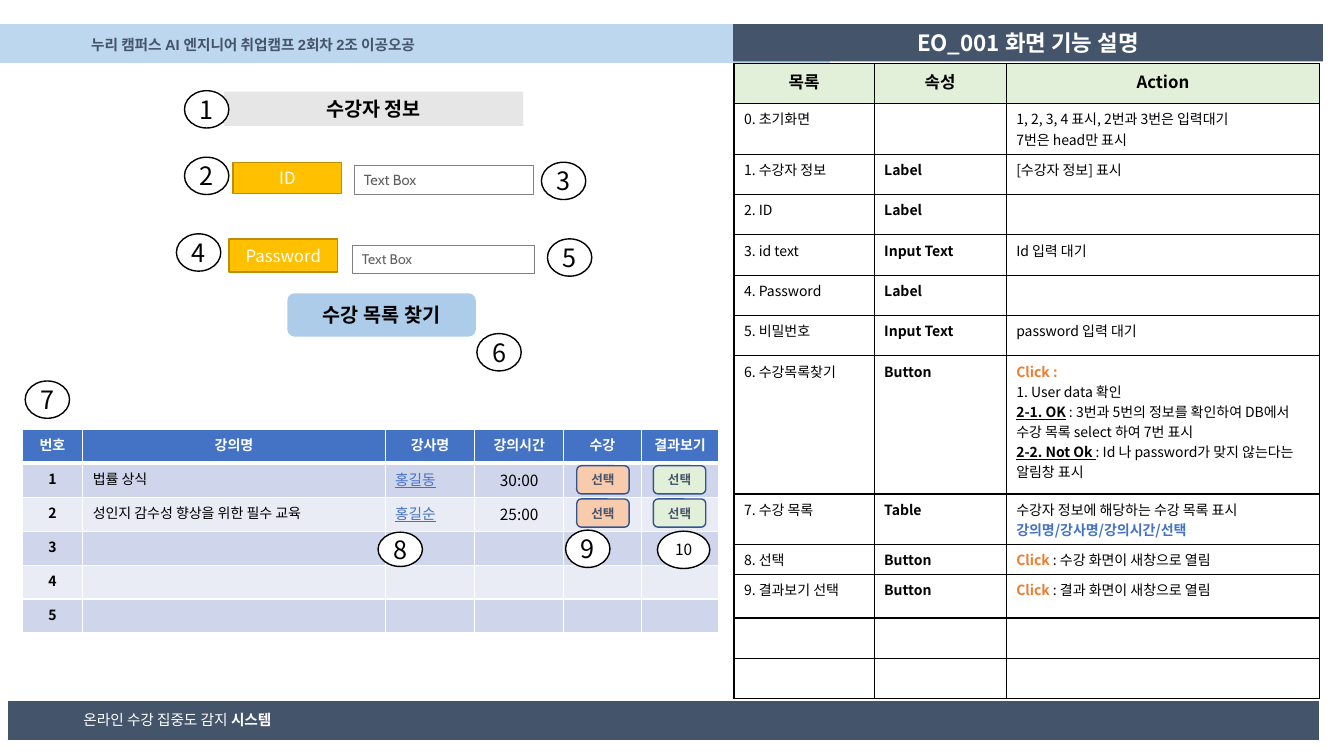
from dataclasses import dataclass

import pptx
import pptx.dml.color
import pptx.enum.shapes
import pptx.enum.text
import pptx.oxml
import pptx.oxml.ns
import pptx.util
from lxml import etree
from pptx.util import Inches

SHAPE = pptx.enum.shapes.MSO_SHAPE
ALIGN = pptx.enum.text.PP_ALIGN
qn = pptx.oxml.ns.qn


@dataclass(frozen=True)
class Theme:
    body: str = "Noto Sans CJK KR"
    bar_font: str = "Arial"
    input_font: str = "Cabin"
    black: str = "000000"
    white: str = "FFFFFF"
    navy: str = "44546A"
    sky: str = "BDD7EE"
    grey: str = "E7E6E6"
    amber: str = "FFC000"
    amber_edge: str = "BD8E00"
    search: str = "5B9BD5"
    blue: str = "4472C4"
    odd_row: str = "CFD5EA"
    even_row: str = "E9EBF5"
    mint: str = "E2F0D9"
    peach: str = "F8CBAD"
    button_edge: str = "325491"
    orange: str = "ED7D31"
    input_text: str = "5F5F5F"
    input_edge: str = "808080"
    title: float = 16
    heading: float = 14
    badge: float = 18
    label: float = 12
    time: float = 11
    bar: float = 10.5
    cell: float = 10
    button: float = 9


T = Theme()
BOLD = {"bold": True}
CLICK = {"bold": True, "color": T.orange}
KEY = {"bold": True, "underline": True}


def rgb(value):
    return pptx.dml.color.RGBColor.from_string(value)


def write(frame, paragraphs, align=ALIGN.LEFT, **base):
    """Fill a frame; each paragraph is a string or a list of (text, format) runs."""
    for index, runs in enumerate(paragraphs):
        paragraph = frame.paragraphs[0] if index == 0 else frame.add_paragraph()
        paragraph.alignment = align
        for text, extra in [(runs, {})] if isinstance(runs, str) else runs:
            style = {"name": T.body, "color": T.black, "bold": False} | base | extra
            run = paragraph.add_run()
            run.text = text
            run.font.color.rgb = rgb(style.pop("color"))
            run.font.size = pptx.util.Pt(style.pop("size"))
            for attribute, value in style.items():
                setattr(run.font, attribute, value)
            etree.SubElement(run._r.get_or_add_rPr(), qn("a:ea"), typeface=T.body)


def set_frame(frame, inset=0):
    values = {"word_wrap": True, "auto_size": pptx.enum.text.MSO_AUTO_SIZE.NONE,
              "vertical_anchor": pptx.enum.text.MSO_ANCHOR.MIDDLE,
              "margin_left": Inches(inset), "margin_right": Inches(inset),
              "margin_top": 0, "margin_bottom": 0}
    for attribute, value in values.items():
        setattr(frame, attribute, value)


def add_box(slide, at, fill, edge=None, weight=1, kind=SHAPE.RECTANGLE,
            text=None, inset=0, align=ALIGN.CENTER, **font):
    box = slide.shapes.add_shape(kind, *map(Inches, at))
    box.shadow.inherit = False
    box.fill.solid()
    box.fill.fore_color.rgb = rgb(fill)
    if edge:
        box.line.color.rgb = rgb(edge)
        box.line.width = pptx.util.Pt(weight)
    else:
        box.line.fill.background()
    if text:
        set_frame(box.text_frame, inset)
        write(box.text_frame, [text], align, **font)
    return box


def add_label(slide, at, text, **font):
    label = slide.shapes.add_textbox(*map(Inches, at))
    set_frame(label.text_frame)
    write(label.text_frame, [text], ALIGN.CENTER, **font)


def add_title(slide, at, text):
    title = slide.shapes.title
    title.left, title.top, title.width, title.height = map(Inches, at)
    title.fill.solid()
    title.fill.fore_color.rgb = rgb(T.navy)
    set_frame(title.text_frame)
    write(title.text_frame, [text], ALIGN.CENTER, size=T.title, color=T.white, bold=True)
    title.element.getparent().append(title.element)  # in front of the sky band


def add_badge(slide, number, left, top, width=0.44, height=0.37, size=T.badge):
    add_box(slide, (left, top, width, height), T.white, T.black, kind=SHAPE.OVAL,
            text=str(number), size=size)


def set_borders(cell, color, bottom=1):
    properties = cell._tc.get_or_add_tcPr()
    weights = {"a:lnL": 1, "a:lnR": 1, "a:lnT": 1, "a:lnB": bottom}
    for index, (side, weight) in enumerate(weights.items()):
        line = etree.Element(qn(side), w=str(pptx.util.Pt(weight)))
        fill = etree.SubElement(line, qn("a:solidFill"))
        etree.SubElement(fill, qn("a:srgbClr"), val=color)
        properties.insert(index, line)


def add_grid(slide, left, top, widths, heights):
    table = slide.shapes.add_table(len(heights), len(widths), Inches(left), Inches(top),
                                   Inches(sum(widths)), Inches(sum(heights))).table
    table.first_row = table.horz_banding = False
    for column, width in zip(table.columns, widths):
        column.width = Inches(width)
    for row, height in zip(table.rows, heights):
        row.height = Inches(height)
    return table


def set_cell(cell, paragraphs, fill, border, bottom=1, **font):
    cell.fill.solid()
    cell.fill.fore_color.rgb = rgb(fill)
    set_borders(cell, border, bottom)
    if paragraphs:
        write(cell.text_frame, paragraphs, **font)
    else:
        etree.SubElement(cell.text_frame.paragraphs[0]._p, qn("a:endParaRPr"),
                         sz=str(int(T.cell * 100)))


def add_course_table(slide):
    head = ["번호", "강의명", "강사명", "강의시간", "수강", "결과보기"]
    courses = [("법률 상식", "홍길동", "30:00"),
               ("성인지 감수성 향상을 위한 필수 교육", "홍길순", "25:00")]
    courses += [("", "", "")] * 3
    center = {"align": ALIGN.CENTER, "size": T.cell}
    formats = [center | BOLD, {"size": T.cell},
               {"size": T.bar, "color": T.blue, "underline": True},
               center | {"size": T.time}, {}, {}]
    table = add_grid(slide, 0.22, 4.26, [0.6, 3, 0.89, 0.88, 0.77, 0.77], [0.337] * 6)
    for column, name in enumerate(head):
        set_cell(table.cell(0, column), [name], T.blue, T.white, bottom=3,
                 color=T.white, **center, **BOLD)
    for number, course in enumerate(courses, 1):
        fill = T.odd_row if number % 2 else T.even_row
        for column, text in enumerate((str(number), *course, "", "")):
            set_cell(table.cell(number, column), [text] if text else [], fill, T.white,
                     **formats[column])


def add_function_table(slide):
    rows = [
        (0.46, "0. 초기화면", "", ["1, 2, 3, 4 표시, 2번과 3번은 입력대기", "7번은 head만 표시"]),
        (0.4, "1. 수강자 정보", "Label", ["[수강자 정보] 표시"]),
        (0.4, "2. ID", "Label", []),
        (0.4, "3. id text", "Input Text", ["Id 입력 대기"]),
        (0.4, "4. Password", "Label", []),
        (0.4, "5. 비밀번호", "Input Text", ["password 입력 대기"]),
        (1.37, "6. 수강목록찾기", "Button", [
            [("Click :", CLICK)],
            "1. User data 확인",
            [("2-1. OK", KEY),
             (" : 3번과 5번의 정보를 확인하여 DB에서 수강 목록 select 하여 7번 표시", {})],
            [("2-2. Not Ok ", KEY), (": Id 나 password가 맞지 않는다는 알림창 표시", {})]]),
        (0.45, "7. 수강 목록", "Table", [
            "수강자 정보에 해당하는 수강 목록 표시",
            [("강의명/강사명/강의시간/선택", BOLD | {"color": T.blue})]]),
        (0.3, "8. 선택", "Button", [[("Click ", CLICK), (": 수강 화면이 새창으로 열림", {})]]),
        (0.43, "9. 결과보기 선택", "Button",
         [[("Click ", CLICK), (": 결과 화면이 새창으로 열림", {})]]),
        (0.4, "", "", []),
        (0.4, "", "", []),
    ]
    table = add_grid(slide, 7.28, 0.63, [1.39, 1.31, 3.11], [0.4] + [row[0] for row in rows])
    for column, name in enumerate(["목록", "속성", "Action"]):
        set_cell(table.cell(0, column), [name], T.mint, T.black,
                 align=ALIGN.CENTER, size=T.label, bold=True)
    for index, (_, item, kind, action) in enumerate(rows, 1):
        contents = [item] if item else [], [kind] if kind else [], action
        for column, paragraphs in enumerate(contents):
            set_cell(table.cell(index, column), paragraphs, T.white, T.black,
                     size=T.cell, bold=column == 1)


def add_login_form(slide):
    add_box(slide, (2.22, 0.91, 2.97, 0.34), T.grey, text="수강자 정보",
            size=T.heading, bold=True)
    search = add_box(slide, (2.85, 2.91, 1.87, 0.43), T.search, kind=SHAPE.ROUNDED_RECTANGLE,
                     text="수강 목록 찾기", size=T.heading, bold=True)
    color = search.element.spPr.find(qn("a:solidFill")).find(qn("a:srgbClr"))
    etree.SubElement(color, qn("a:alpha"), val="50000")
    for name, at in [("Password", (2.27, 2.37, 1.08, 0.33)), ("ID", (2.31, 1.61, 1.08, 0.31))]:
        add_box(slide, at, T.amber, T.amber_edge, text=name, size=T.label, color=T.white)
    for at, size in [((3.51, 1.64, 1.78, 0.29), T.bar), ((3.49, 2.43, 1.81, 0.28), T.cell)]:
        add_box(slide, at, T.white, T.input_edge, 0.5, text="Text Box", inset=0.1,
                align=ALIGN.LEFT, size=size, name=T.input_font, color=T.input_text)


def main():
    deck = pptx.Presentation()
    deck.slide_width, deck.slide_height = Inches(13.33), Inches(7.5)
    slide = deck.slides.add_slide(deck.slide_layouts[5])
    bar = {"size": T.bar, "name": T.bar_font}

    add_box(slide, (0, 0.23, 8.24, 0.4), T.sky, T.white, 0.75)
    add_box(slide, (0.07, 6.95, 13.02, 0.4), T.navy, T.white, 0.75)
    add_box(slide, (0.58, 7.05, 2.36, 0.18), T.navy,
            text=[("온라인 수강 집중도 감지 ", {}), ("시스템", BOLD)], color=T.white, **bar)
    add_label(slide, (0.07, 0.3, 4.88, 0.28), "누리 캠퍼스 AI 엔지니어 취업캠프 2회차 2조 이공오공",
              color=T.navy, bold=True, **bar)
    add_title(slide, (7.27, 0.24, 5.85, 0.37), "EO_001 화면 기능 설명")
    add_login_form(slide)
    add_course_table(slide)
    add_function_table(slide)

    for left, fill in [(5.72, T.peach), (6.48, T.mint)]:
        for top in (4.62, 4.95):
            add_box(slide, (left, top, 0.52, 0.28), fill, T.button_edge,
                    kind=SHAPE.ROUNDED_RECTANGLE, text="선택", size=T.button,
                    color=T.navy, bold=True)
    badges = [(1.83, 0.9), (1.83, 1.56), (5.37, 1.61), (1.75, 2.32), (5.43, 2.37),
              (4.73, 3.31), (0.25, 3.78)]
    for number, (left, top) in enumerate(badges, 1):
        add_badge(slide, number, left, top)
    add_badge(slide, 8, 3.75, 5.28, height=0.34)
    add_badge(slide, 9, 5.61, 5.26)
    add_badge(slide, 10, 6.52, 5.27, width=0.52, size=T.time)
    deck.save("out.pptx")


if __name__ == "__main__":
    main()
